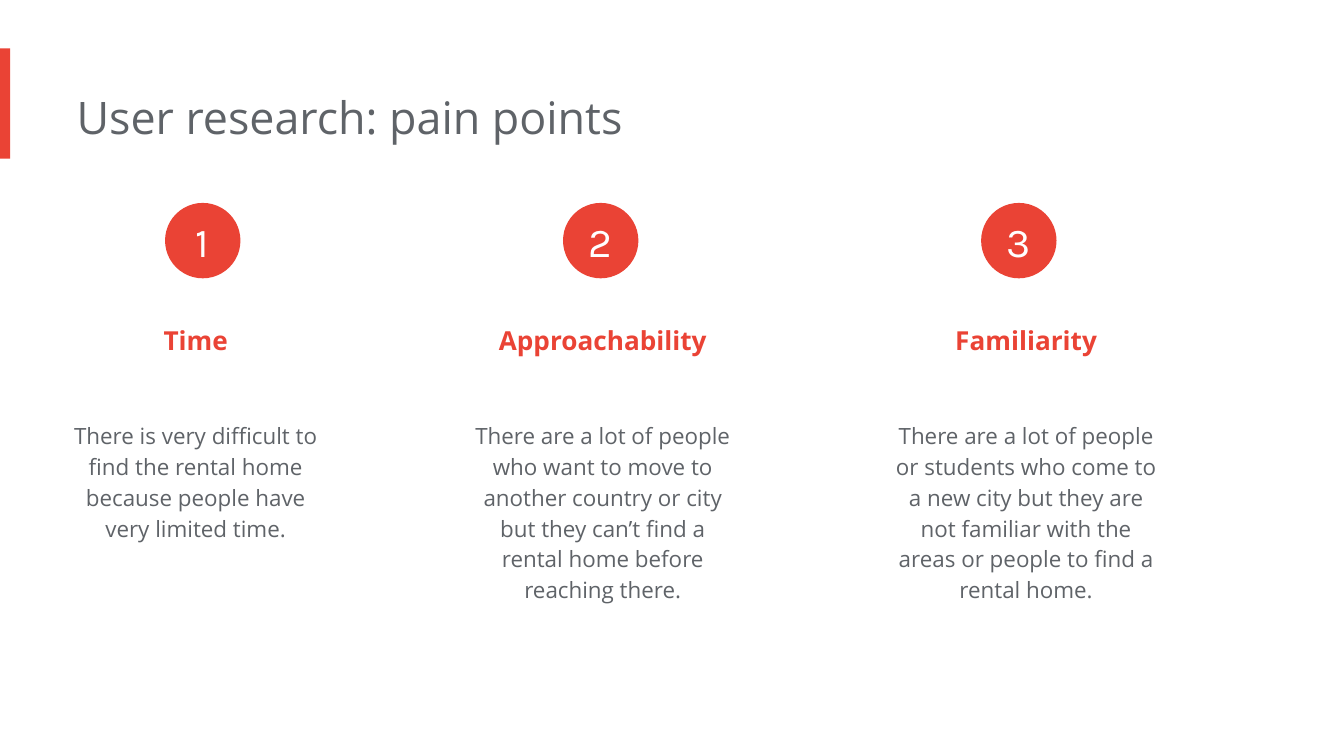
"""Build the slide on user research pain points."""
from pptx import Presentation
from pptx.dml.color import RGBColor
from pptx.enum.shapes import MSO_SHAPE
from pptx.enum.text import MSO_ANCHOR, MSO_AUTO_SIZE, PP_ALIGN
from pptx.util import Pt

COLORS = {"accent": "EA4335", "text": "5F6368", "white": "FFFFFF"}
BODY_FONT = "Open Sans"
NUMBER_FONT = "Karla"
TEXT_INSETS = (0, 7.2, 7.2, 7.2)
COLUMN_WIDTH = 147.6
CIRCLE_SIZE = 40.4

PAIN_POINTS = [
    (34.6, 88.4, "Time",
     "There is very difficult to find the rental home because people have very limited time."),
    (252.7, 301.6, "Approachability",
     "There are a lot of people who want to move to another country or city "
     "but they can’t find a rental home before reaching there."),
    (479.5, 525.6, "Familiarity",
     "There are a lot of people or students who come to a new city but they are "
     "not familiar with the areas or people to find a rental home."),
]


def write_text(shape, text, *, size, color="text", font=BODY_FONT, bold=False,
               align=PP_ALIGN.CENTER, spacing=1.0, anchor=MSO_ANCHOR.TOP,
               insets=TEXT_INSETS):
    frame = shape.text_frame
    frame.word_wrap = True
    frame.auto_size = MSO_AUTO_SIZE.NONE
    frame.vertical_anchor = anchor
    (frame.margin_left, frame.margin_top,
     frame.margin_right, frame.margin_bottom) = map(Pt, insets)
    para = frame.paragraphs[0]
    para.alignment = align
    para.line_spacing = spacing
    span = para.add_run()
    span.text = text
    span.font.name = font
    span.font.size = Pt(size)
    span.font.bold = bold
    span.font.color.rgb = RGBColor.from_string(COLORS[color])


def add_title(page, text):
    title = page.shapes.title
    title.left, title.top, title.width, title.height = map(Pt, (41, 41, 484.6, 43.9))
    write_text(title, text, size=24, align=PP_ALIGN.LEFT)


def add_filled_shape(page, kind, left, top, width, height):
    shape = page.shapes.add_shape(kind, Pt(left), Pt(top), Pt(width), Pt(height))
    shape.shadow.inherit = False
    shape.fill.solid()
    shape.fill.fore_color.rgb = RGBColor.from_string(COLORS["accent"])
    shape.line.fill.background()
    return shape


def add_text_box(page, left, top, height, text, **text_format):
    box = page.shapes.add_textbox(Pt(left), Pt(top), Pt(COLUMN_WIDTH), Pt(height))
    write_text(box, text, **text_format)


def add_pain_point(page, number, left, circle_left, heading, description):
    add_text_box(page, left, 158.4, 39.6, heading,
                 size=14, color="accent", bold=True, spacing=1.5)
    add_text_box(page, left, 216.7, 114.5, description, size=12, spacing=1.15)
    circle = add_filled_shape(page, MSO_SHAPE.OVAL, circle_left, 108.7,
                              CIRCLE_SIZE, CIRCLE_SIZE)
    write_text(circle, str(number), size=22, color="white", font=NUMBER_FONT,
               anchor=MSO_ANCHOR.MIDDLE, insets=(0, 0, 0, 0))


def main():
    deck = Presentation()
    deck.slide_width, deck.slide_height = Pt(720), Pt(405)
    page = deck.slides.add_slide(deck.slide_layouts[5])
    add_filled_shape(page, MSO_SHAPE.RECTANGLE, 0, 25.9, 5.5, 59.2)
    add_title(page, "User research: pain points")
    for number, pain_point in enumerate(PAIN_POINTS, start=1):
        add_pain_point(page, number, *pain_point)
    deck.save("out.pptx")


if __name__ == "__main__":
    main()
